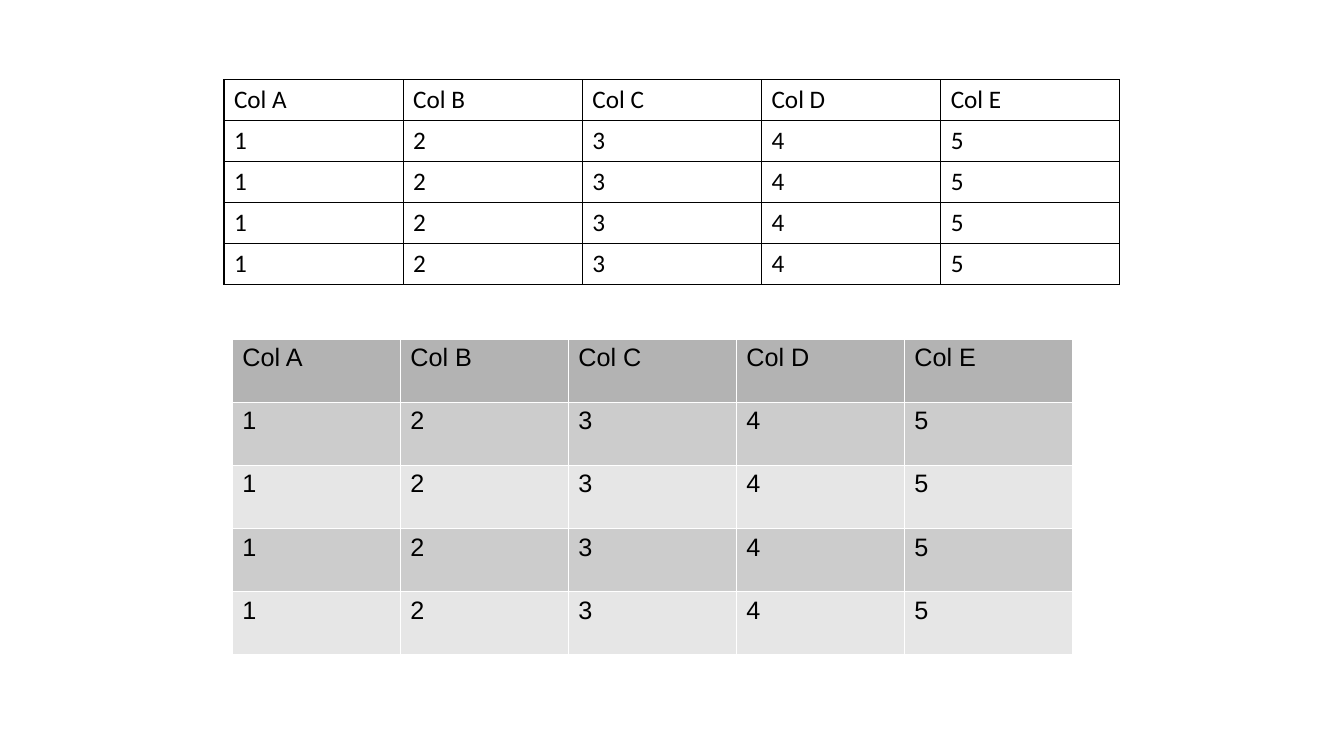
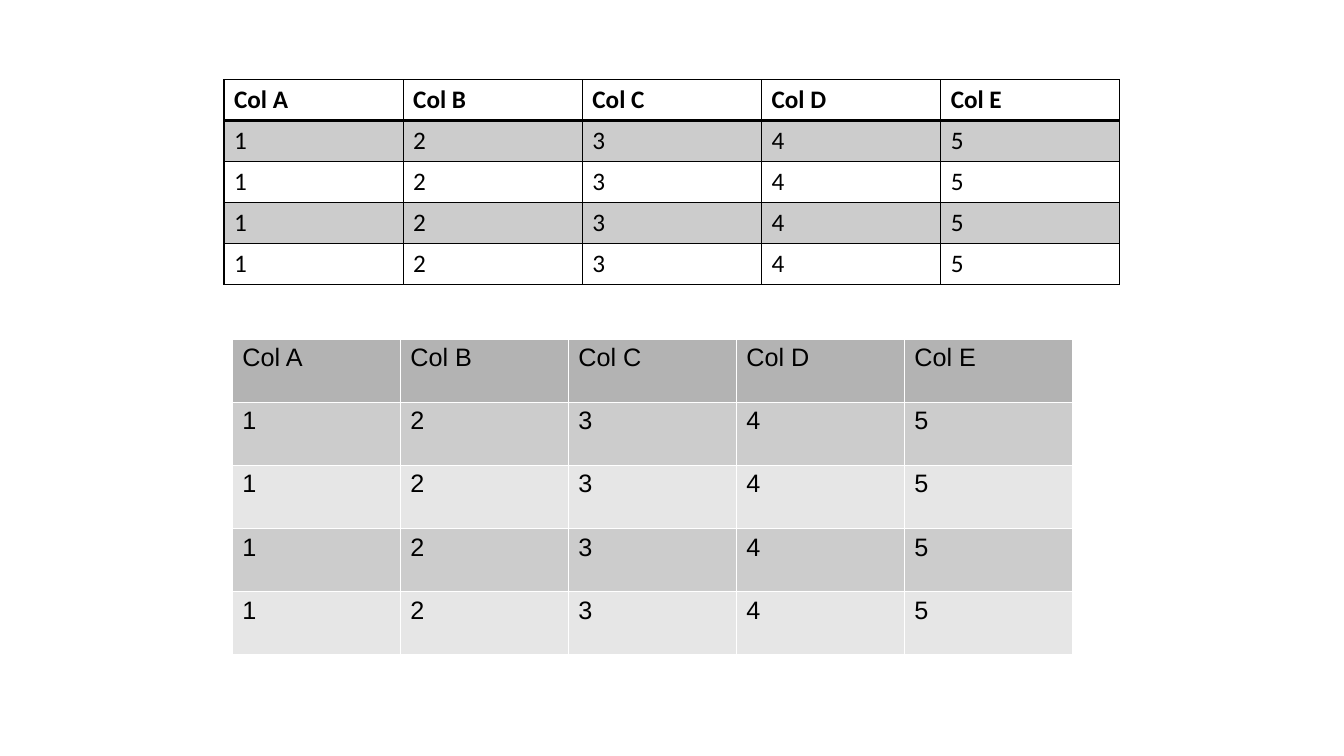
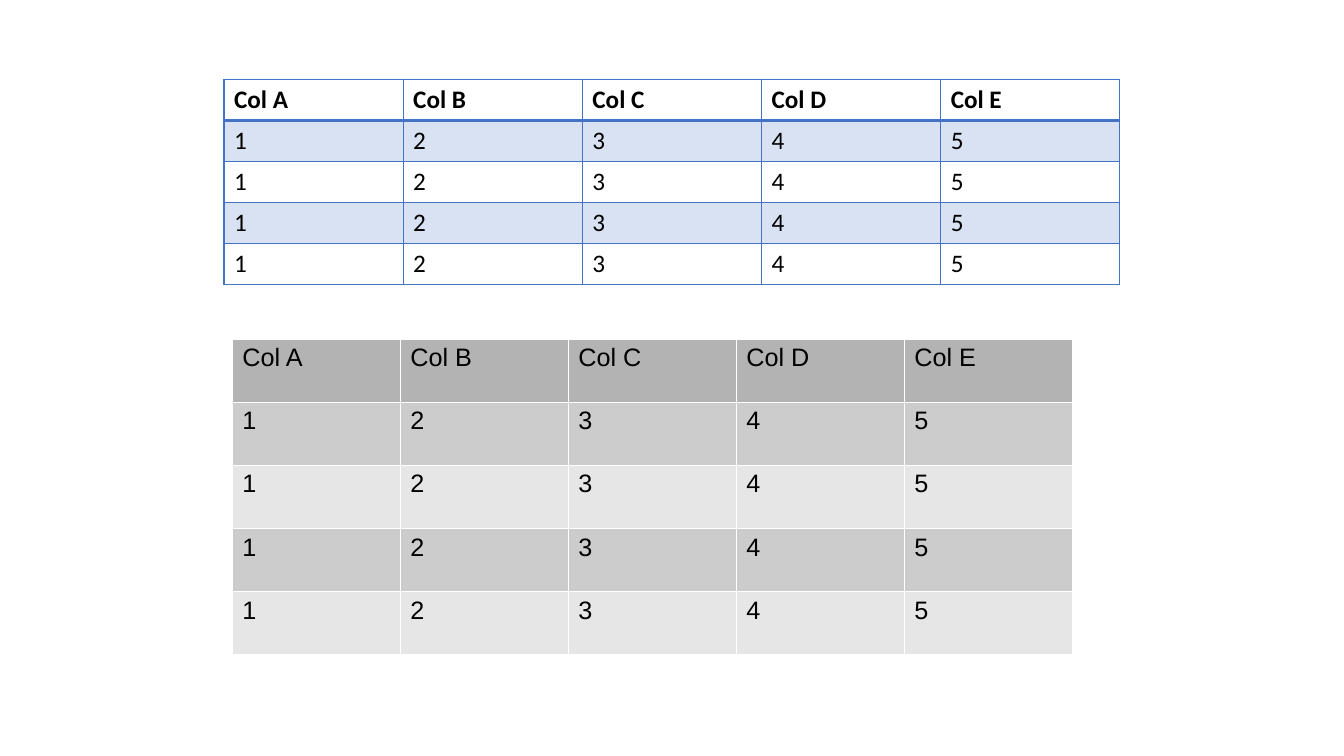
"""Build three slides that each pair an outlined table with a grey banded one."""
from dataclasses import dataclass

from lxml import etree
from pptx import Presentation
from pptx.dml.color import RGBColor
from pptx.enum.text import MSO_ANCHOR
from pptx.oxml.ns import qn
from pptx.util import Pt

TOP, MIDDLE = MSO_ANCHOR.TOP, MSO_ANCHOR.MIDDLE
BLANK_LAYOUT = 6
HEADINGS = [f"Col {letter}" for letter in "ABCDE"]
VALUES = ["1", "2", "3", "4", "5"]
ROWS = [HEADINGS] + [VALUES] * 4


@dataclass(frozen=True)
class Theme:
    """Colours, fonts and sizes shared by the slides."""

    black: str = "000000"
    white: str = "FFFFFF"
    blue: str = "4472C4"
    grey_header: str = "B3B3B3"
    grey_dark: str = "CCCCCC"
    grey_light: str = "E6E6E6"
    outlined_font: str = "Calibri"
    banded_font: str = "Arial"
    text_size: float = 18
    thin: float = 0.96
    thick: float = 1.98
    hairline: float = 0.06
    tint: int = 20


THEME = Theme()


@dataclass(frozen=True)
class TableLook:
    """Place and format of one table; fills are (colour, opacity) or None."""

    left: float
    top: float
    column_width: float
    row_height: float
    font: str
    anchor: MSO_ANCHOR
    border: str
    border_width: float
    header_rule: float
    header_bold: bool = False
    header_fill: tuple | None = None
    odd_fill: tuple | None = None
    even_fill: tuple | None = None

    def row_fill(self, row):
        """Return the fill for a row number, the header being row 0."""
        if row == 0:
            return self.header_fill
        return self.odd_fill if row % 2 else self.even_fill


def outlined_look(colour, header_bold=True, banded=True):
    """Return the upper table's look in one colour."""
    return TableLook(
        left=160, top=57, column_width=128, row_height=29.2,
        font=THEME.outlined_font, anchor=MIDDLE,
        border=colour, border_width=THEME.thin,
        header_rule=THEME.thick if header_bold else THEME.thin,
        header_bold=header_bold,
        odd_fill=(colour, THEME.tint) if banded else None,
    )


def banded_look():
    """Return the lower table's look."""
    return TableLook(
        left=166, top=242, column_width=120, row_height=45.1,
        font=THEME.banded_font, anchor=TOP,
        border=THEME.white, border_width=THEME.hairline,
        header_rule=THEME.hairline,
        header_fill=(THEME.grey_header, 100),
        odd_fill=(THEME.grey_dark, 100),
        even_fill=(THEME.grey_light, 100),
    )


def apply_format(target, values):
    """Set each named attribute on the target."""
    for name, value in values.items():
        setattr(target, name, value)


def add_solid_fill(parent, colour, opacity=100):
    """Append a solid fill, translucent below 100 percent."""
    fill = etree.SubElement(parent, qn("a:solidFill"))
    tone = etree.SubElement(fill, qn("a:srgbClr"), val=colour)
    if opacity < 100:
        etree.SubElement(tone, qn("a:alpha"), val=str(opacity * 1000))


def set_borders(cell, colour, width, bottom_width):
    """Draw the four sides of a cell."""
    properties = cell._tc.get_or_add_tcPr()
    for side, points in zip("LRTB", (width, width, width, bottom_width)):
        line = etree.SubElement(properties, qn(f"a:ln{side}"), w=str(int(Pt(points))))
        add_solid_fill(line, colour)


def set_fill(cell, fill):
    """Fill a cell, or leave it clear."""
    if fill:
        add_solid_fill(cell._tc.get_or_add_tcPr(), *fill)
    else:
        cell.fill.background()


def write_cell(cell, text, look, row):
    """Write and format one cell."""
    is_header = row == 0
    cell.vertical_anchor = look.anchor
    paragraph = cell.text_frame.paragraphs[0]
    run = paragraph.add_run()
    run.text = text
    apply_format(run.font, {
        "name": look.font,
        "size": Pt(THEME.text_size),
        "bold": is_header and look.header_bold,
    })
    run.font.color.rgb = RGBColor.from_string(THEME.black)
    bottom_width = look.header_rule if is_header else look.border_width
    set_borders(cell, look.border, look.border_width, bottom_width)
    set_fill(cell, look.row_fill(row))


def add_data_table(slide, look):
    """Add the shared rows in the given look."""
    frame = slide.shapes.add_table(
        len(ROWS), len(HEADINGS), Pt(look.left), Pt(look.top),
        Pt(look.column_width * len(HEADINGS)), Pt(look.row_height * len(ROWS)),
    )
    table = frame.table
    apply_format(table, {"first_row": False, "horz_banding": False})
    for column in table.columns:
        column.width = Pt(look.column_width)
    for row, texts in enumerate(ROWS):
        table.rows[row].height = Pt(look.row_height)
        for column, text in enumerate(texts):
            write_cell(table.cell(row, column), text, look, row)


def main():
    """Build and save the presentation."""
    presentation = Presentation()
    apply_format(presentation, {"slide_width": Pt(960), "slide_height": Pt(540)})
    upper_looks = (
        outlined_look(THEME.black, header_bold=False, banded=False),
        outlined_look(THEME.black),
        outlined_look(THEME.blue),
    )
    for upper_look in upper_looks:
        slide = presentation.slides.add_slide(presentation.slide_layouts[BLANK_LAYOUT])
        add_data_table(slide, upper_look)
        add_data_table(slide, banded_look())
    presentation.save("out.pptx")


if __name__ == "__main__":
    main()
